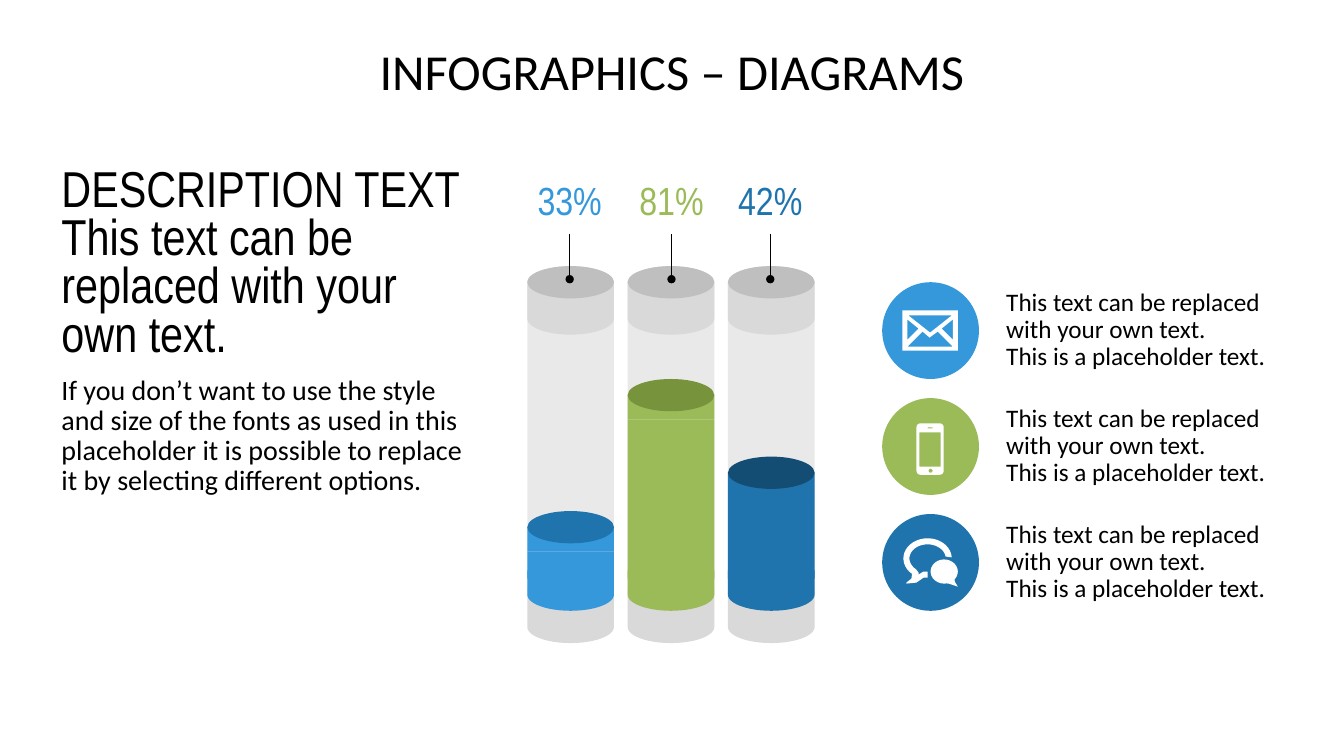
from math import cos, radians, sin

from lxml import etree
from pptx import Presentation
from pptx.dml.color import RGBColor
from pptx.enum.shapes import MSO_CONNECTOR, MSO_SHAPE
from pptx.enum.text import MSO_ANCHOR, PP_ALIGN
from pptx.oxml.ns import qn
from pptx.util import Inches, Pt

WIDTH, HEIGHT = 13.33, 7.5
BLACK, WHITE = "000000", "FFFFFF"
SKY, GREEN, NAVY = "3498DB", "9BBB59", "1F74AD"
TUBE_WIDTH, LID_HEIGHT, RING = 0.86, 0.32, 0.36
BADGE, BADGE_PITCH = 0.96, 1.15


def color(hex_string):
    return RGBColor.from_string(hex_string)


def paint(shape, fill, alpha=None):
    shape.shadow.inherit = False
    shape.line.fill.background()
    shape.fill.solid()
    shape.fill.fore_color.rgb = color(fill)
    if alpha is not None:
        tone = shape.fill._xPr.find(qn("a:solidFill"))[0]
        etree.SubElement(tone, qn("a:alpha")).set("val", str(alpha * 1000))


def add_preset(shapes, preset, box, fill, alpha=None):
    paint(shapes.add_shape(preset, *map(Inches, box)), fill, alpha)


def add_outline(shapes, left, top, contours, fill):
    """Draw closed contours, given in inches from left and top, as one shape."""
    placed = [[(Inches(left + x), Inches(top + y)) for x, y in contour]
              for contour in contours]
    builder = shapes.build_freeform(*placed[0][0])
    builder.add_line_segments(placed[0][1:], close=True)
    for contour in placed[1:]:
        builder.move_to(*contour[0])
        builder.add_line_segments(contour[1:], close=True)
    paint(builder.convert_to_shape(), fill)


def arc(x, y, radius_x, radius_y, start, end, steps=24):
    """Points on an ellipse; angles run clockwise from the right."""
    angles = [radians(start + (end - start) * i / steps) for i in range(steps + 1)]
    return [(x + radius_x * cos(a), y + radius_y * sin(a)) for a in angles]


def rectangle(left, top, right, bottom):
    return [(left, top), (right, top), (right, bottom), (left, bottom)]


def rounded(left, top, right, bottom, radius):
    corners = [(right - radius, bottom - radius), (left + radius, bottom - radius),
               (left + radius, top + radius), (right - radius, top + radius)]
    return [point for i, (x, y) in enumerate(corners)
            for point in arc(x, y, radius, radius, 90 * i, 90 * i + 90, 6)]


def add_text(slide, box, paragraphs, align=PP_ALIGN.LEFT,
             anchor=MSO_ANCHOR.TOP, inset=0, after=10):
    """Each paragraph is (lines, size, font, colour, line spacing)."""
    frame = slide.shapes.add_textbox(*map(Inches, box)).text_frame
    frame.word_wrap = True
    frame.vertical_anchor = anchor
    frame.margin_left = Inches(inset)
    frame.margin_top = frame.margin_right = frame.margin_bottom = 0
    for index, (lines, size, font, tone, spacing) in enumerate(paragraphs):
        paragraph = frame.add_paragraph() if index else frame.paragraphs[0]
        paragraph.alignment = align
        paragraph.line_spacing = spacing
        paragraph.space_after = Pt(after)
        for number, line in enumerate(lines):
            if number:
                paragraph.add_line_break()
            run = paragraph.add_run()
            run.text = line
            run.font.size = Pt(size)
            run.font.name = font
            run.font.color.rgb = color(tone)


def add_tube(slide, left, top, level, fill, lid):
    """A glass tube filled from its base up to the surface at level."""
    shapes = slide.shapes.add_group_shape().shapes
    radius, depth = TUBE_WIDTH / 2, LID_HEIGHT / 2
    rim, foot = top + depth, top + 3.22
    upper = arc(radius, depth, radius, depth, 180, 360)
    lower = arc(radius, depth + RING, radius, depth, 0, 180)

    add_preset(shapes, MSO_SHAPE.RECTANGLE, (left, rim, TUBE_WIDTH, foot - rim), "A6A6A6", 24)
    add_outline(shapes, left, top, [upper + lower], "D9D9D9")
    add_preset(shapes, MSO_SHAPE.OVAL, (left, top, TUBE_WIDTH, LID_HEIGHT), "BFBFBF")
    add_outline(shapes, left, foot - depth, [upper + lower], "D9D9D9")

    collar, bottom = level + depth, foot - 0.12
    body = collar + 0.24
    for start, end in ((body, bottom), (collar, body)):
        add_preset(shapes, MSO_SHAPE.RECTANGLE, (left, start, TUBE_WIDTH, end - start), fill)
    add_preset(shapes, MSO_SHAPE.OVAL, (left, level, TUBE_WIDTH, LID_HEIGHT), lid)
    bowl = [(0, 0), (TUBE_WIDTH, 0)] + arc(radius, 0.24, radius, depth, 0, 180)
    add_outline(shapes, left, foot - 0.2, [bowl], fill)


def add_marker(slide, x, top, share, tone):
    """A percentage with a dotted pointer below it."""
    add_text(slide, (x - TUBE_WIDTH / 2, top, TUBE_WIDTH, 0.61),
             [([share], 28, "Arial Narrow", tone, 0.9)], PP_ALIGN.CENTER, MSO_ANCHOR.MIDDLE)
    start = top + 0.61
    pointer = slide.shapes.add_connector(
        MSO_CONNECTOR.STRAIGHT, *map(Inches, (x, start, x, start + 0.45)))
    pointer.line.color.rgb = color(BLACK)
    pointer.line.width = Pt(0.5)
    etree.SubElement(pointer.line._get_or_add_ln(), qn("a:tailEnd")).set("type", "oval")
    etree.SubElement(pointer._element.spPr, qn("a:effectLst"))


def envelope():
    return [
        rectangle(0.2, 0.28, 0.75, 0.68),
        [(0.4, 0.49), (0.25, 0.64), (0.7, 0.64), (0.55, 0.49), (0.47, 0.55)],
        [(0.26, 0.33), (0.475, 0.5), (0.69, 0.33)],
        [(0.7, 0.57), (0.7, 0.37), (0.59, 0.46)],
        [(0.36, 0.46), (0.25, 0.37), (0.25, 0.57)],
    ]


def phone():
    return [
        rounded(0.34, 0.25, 0.61, 0.76, 0.04),
        rectangle(0.37, 0.34, 0.58, 0.68),
        arc(0.48, 0.72, 0.02, 0.02, 0, 360),
        rectangle(0.45, 0.29, 0.5, 0.3),
    ]


def speech_bubbles():
    front = arc(0.615, 0.57, 0.135, 0.12, 80, 400) + [(0.72, 0.67), (0.75, 0.72), (0.66, 0.69)]
    back = (arc(0.45, 0.44, 0.24, 0.2, 130, 357)
            + arc(0.45, 0.44, 0.18, 0.14, 352, 130)
            + [(0.36, 0.58), (0.36, 0.6), (0.41, 0.57), (0.45, 0.57), (0.45, 0.63),
               (0.41, 0.63), (0.34, 0.68), (0.24, 0.69), (0.24, 0.68), (0.29, 0.64)])
    return [front, back]


def add_legend_row(slide, left, top, fill, icon):
    shapes = slide.shapes.add_group_shape().shapes
    add_preset(shapes, MSO_SHAPE.OVAL, (left, top, BADGE, BADGE), fill)
    add_outline(shapes, left, top, icon, WHITE)
    lines = ["This text can be replaced", "with your own text.", "This is a placeholder text."]
    add_text(slide, (left + 1.11, top, 2.88, BADGE),
             [(lines, 18, "Calibri", BLACK, 0.9)], anchor=MSO_ANCHOR.MIDDLE, inset=0.12)


def add_description(slide, box):
    heading = ["DESCRIPTION TEXT", "This text can be replaced with your own text."]
    body = ["If you don’t want to use the style and size of the fonts as used in this "
            "placeholder it is possible to replace it by selecting different options."]
    add_text(slide, box, [(heading, 36, "Arial Narrow", BLACK, 0.8),
                          (body, 20, "Calibri", BLACK, 0.9)])


def main():
    presentation = Presentation()
    presentation.slide_width, presentation.slide_height = Inches(WIDTH), Inches(HEIGHT)
    slide = presentation.slides.add_slide(presentation.slide_layouts[6])

    add_text(slide, (0.59, 0.47, 12.15, 1.18),
             [(["INFOGRAPHICS – DIAGRAMS"], 36, "Calibri", BLACK, 0.9)],
             PP_ALIGN.CENTER, after=0)
    add_description(slide, (0.61, 1.67, 4.01, 4.68))

    tubes = [("33%", 5.65, 5.07, SKY, NAVY),
             ("81%", 6.66, 3.76, GREEN, "77933C"),
             ("42%", 7.64, 4.53, NAVY, "144D73")]
    for index, (share, marker_x, level, fill, lid) in enumerate(tubes):
        add_tube(slide, 5.23 + 0.995 * index, 2.64, level, fill, lid)
        add_marker(slide, marker_x, 1.71, share, fill)

    legend = [(SKY, envelope()), (GREEN, phone()), (NAVY, speech_bubbles())]
    for index, (fill, icon) in enumerate(legend):
        add_legend_row(slide, 8.75, 2.8 + BADGE_PITCH * index, fill, icon)

    presentation.save("out.pptx")


if __name__ == "__main__":
    main()
